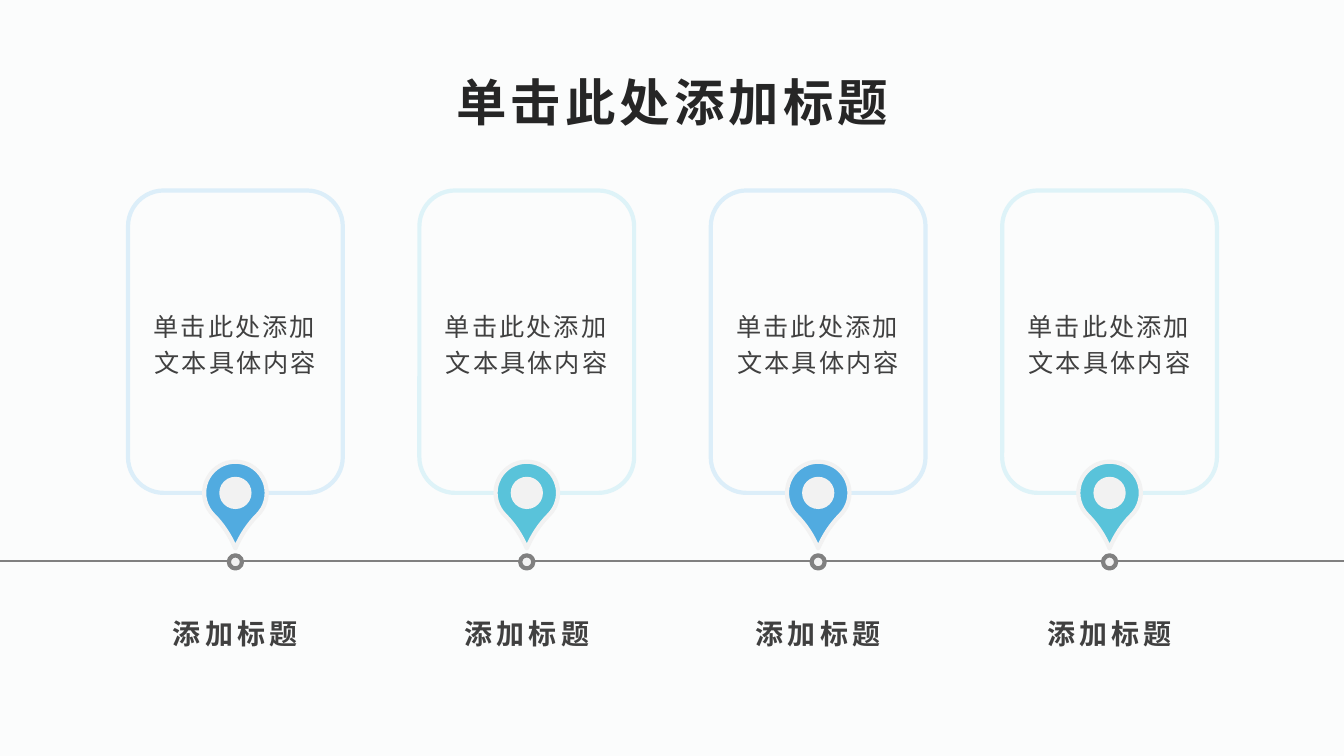
"""Build a timeline slide with four cards, map pins and captions."""
from lxml import etree
from pptx import Presentation
from pptx import util as u
from pptx.dml.color import RGBColor
from pptx.enum import shapes, text
from pptx.oxml.ns import qn


def colour(value):
    return RGBColor.from_string(value)


def write(box, words, size, shade, spacing, bold, anchor):
    frame = box.text_frame
    frame.word_wrap = True
    frame.auto_size = text.MSO_AUTO_SIZE.NONE
    frame.vertical_anchor = anchor
    para = frame.paragraphs[0]
    para.alignment = text.PP_ALIGN.CENTER
    para.line_spacing = 1.2
    para.font.name = "Arial"
    para.font.size = u.Pt(size)
    para.font.bold = bold
    para.font.color.rgb = colour(shade)
    span = para.add_run()
    span.text = words
    properties = span._r.get_or_add_rPr()
    properties.set("lang", "zh-CN")
    properties.set("spc", str(int(spacing * 100)))


deck = Presentation()
deck.slide_width = u.Inches(13.33)
deck.slide_height = u.Inches(7.5)
page = deck.slides.add_slide(deck.slide_layouts[5])
page.background.fill.solid()
page.background.fill.fore_color.rgb = colour("FBFCFC")

title = page.shapes.title
title.left, title.top = u.Inches(0.67), u.Inches(0.56)
title.width, title.height = u.Inches(12), u.Inches(0.77)
write(title, "单击此处添加标题", 36, "262626", 3, True, text.MSO_ANCHOR.MIDDLE)

axis = page.shapes.add_connector(
    shapes.MSO_CONNECTOR.STRAIGHT, 0, u.Inches(5.57), deck.slide_width, u.Inches(5.57))
axis.line.color.rgb = colour("808080")
axis.line.width = u.Pt(1.5)
etree.SubElement(axis._element.spPr, qn("a:effectLst"))

SHAPE = shapes.MSO_SHAPE
STEP = 2.89
themes = [("DCEEF9", "51ABE0"), ("DEF3F8", "59C3DA")] * 2

for index, (border, accent) in enumerate(themes):
    centre = 6.67 + STEP * (index - 1.5)
    parts = [
        (SHAPE.ROUNDED_RECTANGLE, 1.89, 2.13, 3, 0, None, border),
        (SHAPE.TEAR, 4.58, 0.62, 0.62, 135, accent, "F2F2F2"),
        (SHAPE.OVAL, 4.73, 0.32, 0.32, 0, "F2F2F2", None),
        (SHAPE.OVAL, 5.51, 0.13, 0.13, 0, "F2F2F2", "808080"),
    ]
    for kind, top, width, height, turn, fill, line in parts:
        part = page.shapes.add_shape(
            kind, u.Inches(centre - width / 2), u.Inches(top), u.Inches(width), u.Inches(height))
        part.shadow.inherit = False
        part.rotation = turn
        if fill:
            part.fill.solid()
            part.fill.fore_color.rgb = colour(fill)
        else:
            part.fill.background()
        if line:
            part.line.color.rgb = colour(line)
            part.line.width = u.Pt(3)
        else:
            part.line.fill.background()
        if kind == SHAPE.TEAR:
            part.adjustments[0] = 1.254
        if kind == SHAPE.ROUNDED_RECTANGLE:
            write(part, "单击此处添加文本具体内容", 18, "404040", 1.5, False, text.MSO_ANCHOR.MIDDLE)

    caption = page.shapes.add_textbox(
        u.Inches(centre - 2.27 / 2), u.Inches(6), u.Inches(2.27), u.Inches(0.94))
    write(caption, "添加标题", 20, "404040", 3, True, text.MSO_ANCHOR.TOP)

deck.save("out.pptx")
